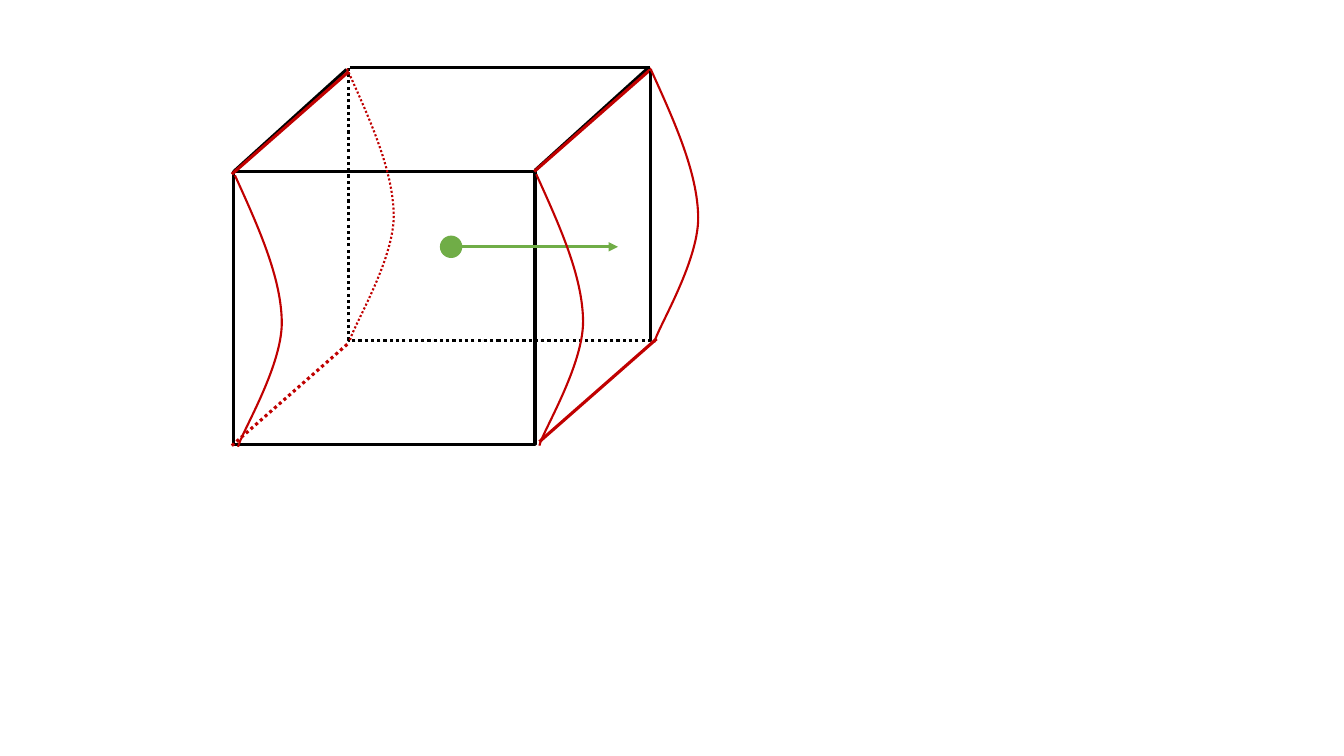
from lxml import etree
from pptx import Presentation
from pptx.dml.color import RGBColor
from pptx.enum import dml, shapes
from pptx.oxml.ns import qn
from pptx.util import Cm, Inches, Pt

HUES = {"edge": "000000", "wave": "C00000", "flow": "70AD47"}

# Control points of one wave in cm from its top end: two Bezier curves
BEND = [(0.58, 1.28), (1.17, 2.57), (1.18, 3.71),
        (1.18, 4.85), (0.13, 6.54), (0.08, 6.84)]


def pen(shape, hue, width=2.25, dots=False):
    """Format the outline of a shape or connector."""
    shape.line.color.rgb = RGBColor.from_string(HUES[hue])
    shape.line.width = Pt(width)
    if dots:
        shape.line.dash_style = dml.MSO_LINE.ROUND_DOT


def draw_line(slide, start, end, hue, dots=False, arrow=False):
    line = slide.shapes.add_connector(
        shapes.MSO_CONNECTOR.STRAIGHT, *map(Cm, (*start, *end)))
    pen(line, hue, dots=dots)
    etree.SubElement(line._element.spPr, qn("a:effectLst"))
    if arrow:
        tip = etree.SubElement(line.line._get_or_add_ln(), qn("a:tailEnd"))
        tip.set("type", "triangle")


def draw_shape(slide, kind, box, hue, width=2.25, dots=False, fill=False):
    shape = slide.shapes.add_shape(kind, *map(Cm, box))
    shape.shadow.inherit = False
    if fill:
        shape.fill.solid()
        shape.fill.fore_color.rgb = RGBColor.from_string(HUES[hue])
    else:
        shape.fill.background()
    pen(shape, hue, width, dots)


def curve(shape):
    """Turn each three line segments of a freeform into one Bezier curve."""
    steps = list(shape._element.iter(qn("a:lnTo")))
    for i in range(0, len(steps), 3):
        bend = etree.Element(qn("a:cubicBezTo"))
        steps[i].addprevious(bend)
        for step in steps[i:i + 3]:
            bend.append(step[0])
            step.getparent().remove(step)


def draw_wave(slide, left, top, dots=False):
    """Draw one bent edge hanging from its top end."""
    pts = [(Cm(left + x), Cm(top + y)) for x, y in BEND]
    form = slide.shapes.build_freeform(Cm(left), Cm(top))
    form.add_line_segments(pts, close=False)
    wave = form.convert_to_shape()
    curve(wave)
    wave.shadow.inherit = False
    wave.fill.background()
    pen(wave, "wave", 1.5, dots)


def draw_cube(slide, left, top, wide, high, deep, rise):
    """Draw the box; deep and rise shift its back face from its front."""
    rect = shapes.MSO_SHAPE.RECTANGLE
    front, back, right = top + rise, left + deep, left + wide
    base = front + high
    draw_shape(slide, rect, (left, front, wide, high), "edge")
    draw_shape(slide, rect, (back, top, wide, high), "edge", dots=True)

    for x, y in ((left, front), (right, front - 0.03)):
        draw_line(slide, (x, y), (x + 2.84, y - 2.57), "edge")
    for x, y, dots in ((left - 0.05, base + 0.03, True),
                       (left - 0.05, front + 0.07, False),
                       (right - 0.02, front, False),
                       (right + 0.11, base - 0.07, False)):
        draw_line(slide, (x, y), (x + 2.95, y - 2.59), "wave", dots)

    far = back + wide
    draw_line(slide, (back + 0.02, top), (far, top), "edge")
    draw_line(slide, (far, top + high), (far, top + 0.1), "edge")


def draw_flow(slide, left, mid, size, reach):
    draw_shape(slide, shapes.MSO_SHAPE.OVAL,
               (left, mid - size / 2, size, size), "flow", 1, fill=True)
    tail = left + size
    draw_line(slide, (tail, mid), (tail + reach, mid), "flow", arrow=True)


def draw_waves(slide, left, top, wide, deep, rise):
    draw_wave(slide, left + deep - 0.05, top + 0.03, dots=True)
    draw_wave(slide, left + 0.03, top + rise + 0.1)
    draw_wave(slide, left + wide + deep + 0.03, top + 0.08)
    draw_wave(slide, left + wide + 0.03, top + rise + 0.07)


def main():
    deck = Presentation()
    deck.slide_width, deck.slide_height = Inches(13.33), Inches(7.5)
    slide = deck.slides.add_slide(deck.slide_layouts[6])
    left, top, wide, high, deep, rise = 5.89, 1.7, 7.59, 6.88, 2.9, 2.62
    draw_cube(slide, left, top, wide, high, deep, rise)
    draw_flow(slide, left + 5.21, top + 4.52, 0.53, 3.94)
    draw_waves(slide, left, top, wide, deep, rise)
    deck.save("out.pptx")


if __name__ == "__main__":
    main()
